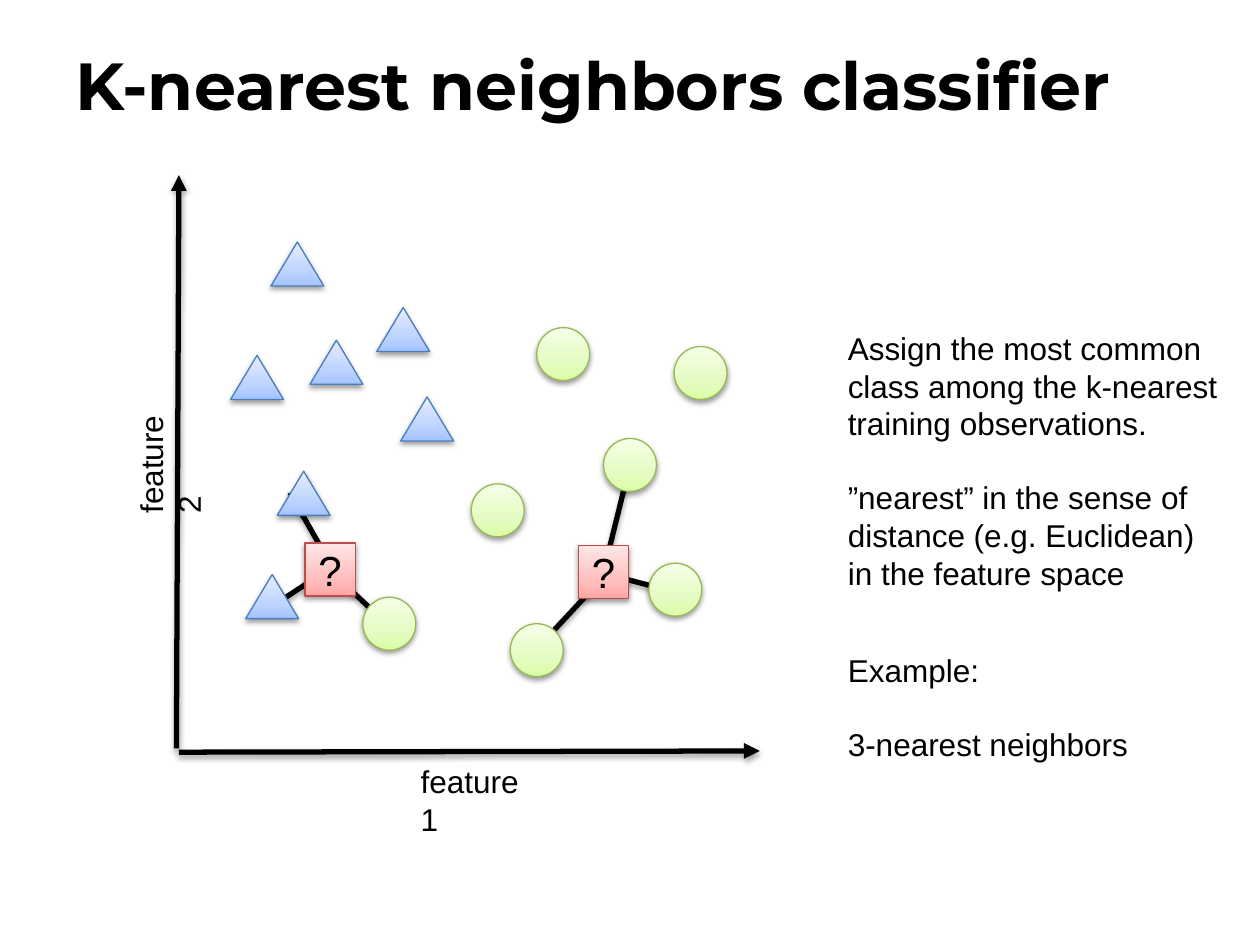
import copy

import pptx
import pptx.dml.color
import pptx.enum.shapes
import pptx.enum.text
import pptx.oxml
import pptx.oxml.ns
import pptx.util

Inches, Pt = pptx.util.Inches, pptx.util.Pt
SHAPE = pptx.enum.shapes.MSO_SHAPE
ALIGN = pptx.enum.text.PP_ALIGN
ANCHOR = pptx.enum.text.MSO_ANCHOR
qn = pptx.oxml.ns.qn
NS = pptx.oxml.ns.nsdecls("a")

COLORS = {
    "ink": "000000",
    "blue": ("A4C4FF", "BFD4FF", "E6EEFF"), "blue line": "4B7EBC",
    "green": ("DAFDA7", "E4FCC2", "F5FFE7"), "green line": "98B955",
    "red": ("FFA6A5", "FFC0BF", "FFE7E7"), "red line": "BF4C48",
}
BODY = {"name": "Arial", "size": Pt(18)}
TITLE = {"name": "Montserrat", "size": Pt(38), "bold": True}
QUERY = {"name": "Arial", "size": Pt(24)}
LINE_GAP = Pt(20.7)  # one line of body text


def rgb(value):
    return pptx.dml.color.RGBColor.from_string(value)


class Canvas:
    def __init__(self, slide):
        self.slide = slide

    def shadow(self, sp, alpha, distance):
        sp._element.spPr.append(pptx.oxml.parse_xml(
            f'<a:effectLst {NS}><a:outerShdw blurRad="{Pt(3.1)}" dist="{Pt(distance)}" '
            f'dir="5400000" rotWithShape="0"><a:srgbClr val="{COLORS["ink"]}">'
            f'<a:alpha val="{alpha * 1000}"/></a:srgbClr></a:outerShdw></a:effectLst>'))

    def run(self, p, text, style):
        r = p.add_run()
        r.text = text
        for name, value in style.items():
            setattr(r.font, name, value)
        r.font.color.rgb = rgb(COLORS["ink"])

    def text(self, box, paragraphs, style=BODY, anchor=ANCHOR.TOP, rotation=0):
        sp = self.slide.shapes.add_textbox(*map(Inches, box))
        sp.rotation = rotation
        tf = sp.text_frame
        tf.word_wrap = True
        tf.vertical_anchor = anchor
        for i, text in enumerate(paragraphs):
            p = tf.add_paragraph() if i else tf.paragraphs[0]
            if i:
                p.space_before = LINE_GAP
            self.run(p, text, style)

    def line(self, start, end, arrow=False):
        sp = self.slide.shapes.add_connector(
            pptx.enum.shapes.MSO_CONNECTOR.STRAIGHT, *map(Inches, start + end))
        sp.line.width = Pt(3)
        sp.line.color.rgb = rgb(COLORS["ink"])
        if arrow:
            sp.line._get_or_add_ln().append(
                pptx.oxml.parse_xml(f'<a:tailEnd {NS} type="triangle"/>'))
        self.shadow(sp, 35, 1.8)

    def marker(self, kind, corner, size, color, text=""):
        sp = self.slide.shapes.add_shape(kind, *map(Inches, corner + size))
        # Three-stop gradient, darkest at the bottom
        sp.fill.gradient()
        sp.fill.gradient_angle = 90
        stops = sp._element.spPr.find(qn("a:gradFill")).find(qn("a:gsLst"))
        stops.append(copy.deepcopy(stops[0]))
        for stop, place, value in zip(sp.fill.gradient_stops, (0, 0.35, 1), COLORS[color]):
            stop.position = place
            stop.color.rgb = rgb(value)
        sp.line.color.rgb = rgb(COLORS[color + " line"])
        sp.line.width = Pt(0.75)
        self.shadow(sp, 38, 1.6)
        if text:
            tf = sp.text_frame
            tf.vertical_anchor = ANCHOR.MIDDLE
            p = tf.paragraphs[0]
            p.alignment = ALIGN.CENTER
            self.run(p, text, QUERY)


def main():
    prs = pptx.Presentation()
    prs.slide_width, prs.slide_height = Inches(10), Inches(7.5)
    canvas = Canvas(prs.slides.add_slide(prs.slide_layouts[6]))

    # Links from each query point to its three neighbors
    links = [
        ((5, 3.69), (4.79, 4.54)), ((4.79, 4.55), (5.36, 4.7)),
        ((4.25, 5.16), (4.79, 4.58)), ((2.3, 3.91), (2.67, 4.56)),
        ((2.27, 4.74), (2.62, 4.51)), ((3.1, 4.98), (2.62, 4.53)),
    ]
    for start, end in links:
        canvas.line(start, end)

    # Title
    canvas.text((0.5, 0.04, 9, 1.25), ["K-nearest neighbors classifier"],
                TITLE, ANCHOR.MIDDLE)

    # Axes and their labels
    canvas.line((1.4, 5.94), (1.42, 1.39), arrow=True)
    canvas.line((1.42, 5.97), (6.03, 5.96), arrow=True)
    canvas.text((3.24, 6, 1.13, 0.4), ["feature 1"])
    canvas.text((0.63, 3.41, 1.13, 0.4), ["feature 2"], rotation=270)

    # Training observations of both classes
    circles = [(2.88, 4.74), (4.26, 2.6), (4.79, 3.48), (3.74, 3.84),
               (5.15, 4.47), (4.05, 4.95), (5.35, 2.75)]
    triangles = [(2.15, 1.92), (1.83, 2.82), (2.46, 2.7), (2.99, 2.44),
                 (1.95, 4.56), (3.18, 3.15), (2.2, 3.74)]
    for corner in circles:
        canvas.marker(SHAPE.OVAL, corner, (0.42, 0.42), "green")
    for corner in triangles:
        canvas.marker(SHAPE.ISOSCELES_TRIANGLE, corner, (0.42, 0.35), "blue")

    # Query points
    for corner in [(4.59, 4.33), (2.42, 4.31)]:
        canvas.marker(SHAPE.RECTANGLE, corner, (0.4, 0.42), "red", "?")

    # Explanation
    canvas.text((6.63, 2.56, 3.19, 2.22), [
        "Assign the most common class among the k-nearest training observations.",
        "”nearest” in the sense of distance (e.g. Euclidean) in the feature space",
    ])
    canvas.text((6.63, 5.12, 3.19, 1.01), ["Example:", "3-nearest neighbors"])

    prs.save("out.pptx")


if __name__ == "__main__":
    main()
